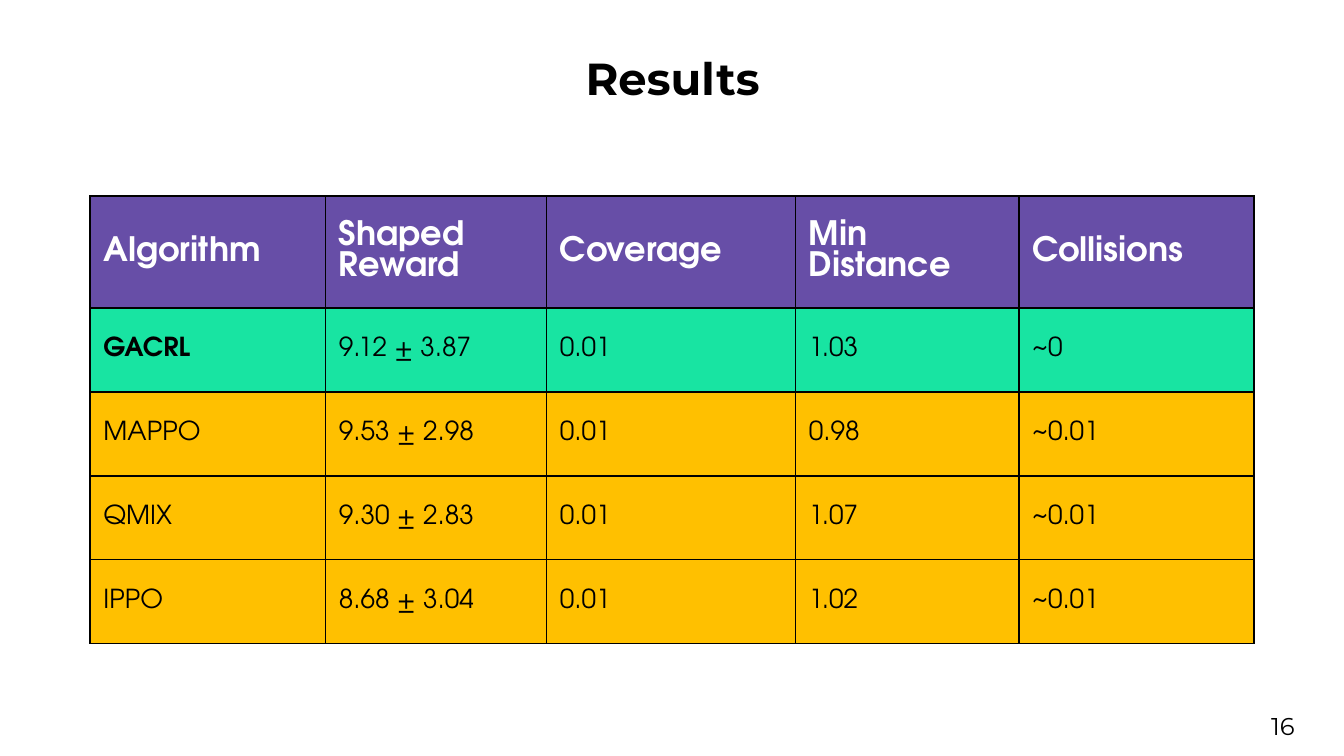
from lxml.etree import SubElement
from pptx import Presentation
from pptx.dml.color import RGBColor
from pptx.enum.text import MSO_ANCHOR as Anchor, PP_ALIGN as Align
from pptx.oxml.ns import qn
from pptx.util import Pt

BLACK = RGBColor(0x00, 0x00, 0x00)
WHITE = RGBColor(0xFF, 0xFF, 0xFF)
PURPLE = RGBColor(0x67, 0x4E, 0xA7)
GREEN = RGBColor(0x18, 0xE4, 0xA2)
AMBER = RGBColor(0xFF, 0xC0, 0x00)

HEADING_FONT = "Montserrat"
TABLE_FONT = "TeX Gyre Adventor"
INSET = Pt(7.2)

COLUMN_WIDTHS = [126.2, 118.4, 133.4, 119.6, 125.9]
HEADER_HEIGHT, ROW_HEIGHT = 60, 45
RESULTS = [
    ["Algorithm", "Shaped Reward", "Coverage", "Min Distance", "Collisions"],
    ["GACRL", "9.12 ± 3.87", "0.01", "1.03", "~0"],
    ["MAPPO", "9.53 ± 2.98", "0.01", "0.98", "~0.01"],
    ["QMIX", "9.30 ± 2.83", "0.01", "1.07", "~0.01"],
    ["IPPO", "8.68 ± 3.04", "0.01", "1.02", "~0.01"],
]
ROW_FILLS = [PURPLE, GREEN, AMBER, AMBER, AMBER]


def style_font(font, name, size, color, bold=False):
    font.name = name
    font.size = Pt(size)
    font.color.rgb = color
    font.bold = bold


def add_label(page, box, text, size, bold=False, align=Align.LEFT, anchor=Anchor.TOP):
    frame = page.shapes.add_textbox(*map(Pt, box)).text_frame
    frame.word_wrap = True
    frame.vertical_anchor = anchor
    frame.margin_left = frame.margin_right = INSET
    frame.margin_top = frame.margin_bottom = INSET
    para = frame.paragraphs[0]
    para.text = text
    para.alignment = align
    style_font(para.font, HEADING_FONT, size, BLACK, bold)


def set_borders(cell, top, bottom):
    properties = cell._tc.get_or_add_tcPr()
    widths = {"a:lnL": 1, "a:lnR": 1, "a:lnT": top, "a:lnB": bottom}
    for tag, width in widths.items():
        line = SubElement(properties, qn(tag), w=str(Pt(width)))
        fill = SubElement(line, qn("a:solidFill"))
        SubElement(fill, qn("a:srgbClr"), val=str(BLACK))


def fill_cell(cell, text, row, column):
    is_header = row == 0
    set_borders(cell, 1.5 if row == 1 else 1, 1.5 if is_header else 1)
    cell.fill.solid()
    cell.fill.fore_color.rgb = ROW_FILLS[row]
    cell.vertical_anchor = Anchor.MIDDLE
    para = cell.text_frame.paragraphs[0]
    para.text = text
    size, color = (18, WHITE) if is_header else (14, BLACK)
    bold = is_header or (row, column) == (1, 0)
    style_font(para.font, TABLE_FONT, size, color, bold)


def add_results_table(page, left, top):
    heights = [HEADER_HEIGHT] + [ROW_HEIGHT] * (len(RESULTS) - 1)
    table = page.shapes.add_table(
        len(RESULTS), len(COLUMN_WIDTHS), Pt(left), Pt(top),
        Pt(sum(COLUMN_WIDTHS)), Pt(sum(heights)),
    ).table
    for column, width in zip(table.columns, COLUMN_WIDTHS):
        column.width = Pt(width)
    for row, height in zip(table.rows, heights):
        row.height = Pt(height)
    for row, values in enumerate(RESULTS):
        for column, text in enumerate(values):
            fill_cell(table.cell(row, column), text, row, column)


def main():
    deck = Presentation()
    deck.slide_width, deck.slide_height = Pt(720), Pt(405)
    page = deck.slides.add_slide(deck.slide_layouts[6])
    add_label(page, (36, 18, 648.7, 45.4), "Results", 24, True, Align.CENTER, Anchor.BOTTOM)
    add_label(page, (673.9, 373.7, 43.2, 31), "16", 13)
    add_results_table(page, 48.2, 104.9)
    deck.save("out.pptx")


if __name__ == "__main__":
    main()
